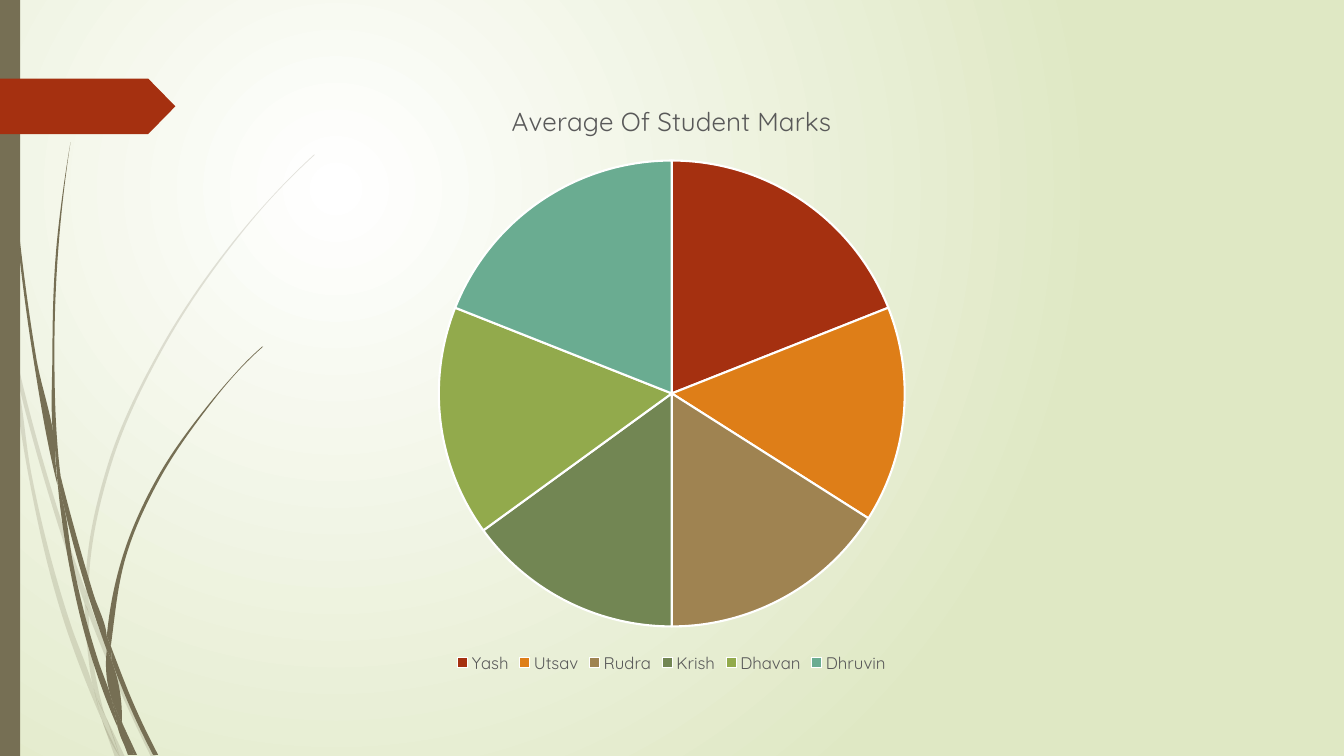
from lxml.etree import SubElement
from pptx import Presentation
from pptx.chart.data import CategoryChartData
from pptx.dml.color import RGBColor
from pptx.enum.chart import XL_CHART_TYPE, XL_LEGEND_POSITION
from pptx.enum.shapes import MSO_SHAPE
from pptx.oxml.ns import qn
from pptx.util import Cm, Pt

WHITE = RGBColor(0xFF, 0xFF, 0xFF)
PALE_GREEN = RGBColor(0xDF, 0xE8, 0xC4)
OLIVE = RGBColor(0x76, 0x6F, 0x54)
RED = RGBColor(0xA5, 0x30, 0x10)
ORANGE = RGBColor(0xDE, 0x7E, 0x18)
TAN = RGBColor(0x9F, 0x83, 0x51)
MOSS = RGBColor(0x72, 0x86, 0x53)
LIME = RGBColor(0x92, 0xAA, 0x4C)
TEAL = RGBColor(0x6A, 0xAC, 0x91)
GREY = RGBColor(0x59, 0x59, 0x59)

FONT = "Quicksand"
GRASS_UNIT = Cm(2.54) / 100

STUDENT_MARKS = [
    ("Yash", 19, RED),
    ("Utsav", 15, ORANGE),
    ("Rudra", 16, TAN),
    ("Krish", 15, MOSS),
    ("Dhavan", 16, LIME),
    ("Dhruvin", 19, TEAL),
]

PALE_GRASS = [
    ([(11, 350), (9, 322), (0, 282)], [(0, 299), (10, 344)]),
    ([(14, 345), (62, 520), (85, 586)], [(84, 599), (58, 522), (17, 376)]),
    ([(88, 596), (92, 607), (127, 692), (155, 751)],
     [(150, 751), (123, 694), (88, 610)]),
    ([(105, 711), (124, 751)], [(119, 751), (105, 711)]),
    ([(11, 350), (28, 470), (65, 621), (92, 693), (101, 714)],
     [(99, 707), (93, 683), (70, 619), (31, 469), (17, 376), (11, 350)]),
    ([(84, 599), (87, 646), (93, 683), (96, 692), (105, 711)],
     [(103, 706), (91, 646), (88, 610), (88, 608), (84, 599)]),
    ([(88, 596), (88, 584), (110, 462), (160, 349), (229, 245), (268, 198),
      (290, 175), (312, 154)],
     [(312, 153), (289, 175), (268, 197), (228, 244), (158, 348), (107, 461),
      (85, 584), (85, 586)]),
    ([(101, 714), (114, 751)], [(119, 751), (101, 714)]),
    ([(88, 608), (88, 610), (88, 596)], [(85, 586), (84, 599)]),
    ([(93, 683), (99, 707), (101, 714), (119, 751)],
     [(119, 751), (105, 711), (96, 692)]),
]

DARK_GRASS = [
    ([(3, 0), (4, 48), (7, 110), (17, 233), (33, 355), (56, 477), (57, 481)],
     [(55, 457), (55, 453), (36, 355), (19, 232), (8, 109), (5, 48), (4, 0)]),
    ([(60, 472), (93, 590), (106, 631), (106, 645)],
     [(106, 645), (88, 592), (64, 505)]),
    ([(110, 641), (113, 649), (136, 706), (157, 749)],
     [(152, 749), (132, 708), (111, 656)]),
    ([(57, 477), (68, 557), (93, 659), (111, 708), (117, 722)],
     [(116, 717), (110, 691), (98, 657), (72, 556), (64, 505), (57, 477)]),
    ([(60, 472), (58, 453), (54, 349), (58, 245), (63, 193), (70, 141)],
     [(70, 141), (62, 193), (56, 245), (52, 349), (55, 449), (60, 472)]),
    ([(122, 719), (136, 749)], [(133, 749), (122, 719)]),
    ([(55, 449), (60, 472), (64, 505)], [(57, 477), (55, 453)]),
    ([(110, 641), (111, 633), (125, 552), (158, 476), (205, 406), (231, 374),
      (245, 359), (261, 344)],
     [(260, 344), (245, 358), (231, 373), (204, 405), (156, 474), (122, 551),
      (106, 631)]),
    ([(117, 722), (127, 749)], [(131, 749), (117, 722)]),
    ([(106, 645), (110, 691), (116, 706), (122, 719)],
     [(121, 716), (111, 656), (109, 651), (106, 645)]),
    ([(106, 645), (109, 651), (111, 656)], [(110, 641), (106, 631)]),
    ([(110, 691), (116, 717), (117, 722), (130, 749)],
     [(133, 749), (122, 719), (116, 706)]),
]


def edge_controls(edge):
    points = [complex(x, y) for x, y in edge]
    steps = [end - start for start, end in zip(points, points[1:])]
    slopes = [step / abs(step) for step in steps]
    tangents = [
        (slopes[i] * abs(steps[i + 1]) + slopes[i + 1] * abs(steps[i]))
        / (abs(steps[i]) + abs(steps[i + 1]))
        for i in range(len(steps) - 1)
    ]
    if tangents:
        tangents = [2 * slopes[0] - tangents[0], *tangents, 2 * slopes[-1] - tangents[-1]]
    else:
        tangents = slopes * 2
    return [
        (points[i] + tangents[i] * abs(step) / 3,
         points[i + 1] - tangents[i + 1] * abs(step) / 3)
        for i, step in enumerate(steps)
    ]


def bend_edges(blade, edges):
    left, top = (min(values) for values in zip(*edges[0], *edges[1]))
    origin = complex(left, top)
    controls = [*edge_controls(edges[0]), None, *edge_controls(edges[1])]
    lines = blade._element.findall(".//" + qn("a:lnTo"))
    for line, pair in zip(lines, controls):
        if pair is None:
            continue
        line.tag = qn("a:cubicBezTo")
        for index, control in enumerate(pair):
            point = SubElement(line, qn("a:pt"))
            position = (control - origin) * GRASS_UNIT
            point.set("x", str(round(position.real)))
            point.set("y", str(round(position.imag)))
            line.insert(index, point)


def fill_plain(shape, color):
    shape.shadow.inherit = False
    shape.fill.solid()
    shape.fill.fore_color.rgb = color
    shape.line.fill.background()


def set_opacity(shape, percent):
    color = shape._element.spPr.find(".//" + qn("a:srgbClr"))
    SubElement(color, qn("a:alpha")).set("val", str(percent * 1000))


def set_font(font, size, color):
    font.name = FONT
    font.size = Pt(size)
    font.bold = False
    font.color.rgb = color


def paint_background(slide):
    fill = slide.background.fill
    fill.gradient()
    for stop, color in zip(fill.gradient_stops, (WHITE, PALE_GREEN)):
        stop.color.rgb = color
    gradient = slide.element.find(".//" + qn("a:gradFill"))
    gradient.remove(gradient.find(qn("a:lin")))
    circle = SubElement(gradient, qn("a:path"))
    circle.set("path", "circle")
    center = SubElement(circle, qn("a:fillToRect"))
    for side, value in zip("ltrb", (50000, 50000, 100000, 100000)):
        center.set(side, str(value))


def add_grass(slide, blades, opacity):
    group = slide.shapes.add_group_shape()
    for edges in blades:
        outline = [(x * GRASS_UNIT, y * GRASS_UNIT) for edge in edges for x, y in edge]
        builder = group.shapes.build_freeform(*outline[0])
        builder.add_line_segments(outline[1:], close=True)
        blade = builder.convert_to_shape()
        bend_edges(blade, edges)
        fill_plain(blade, OLIVE)
        if opacity < 100:
            set_opacity(blade, opacity)


def add_block(slide, kind, top, width, height, color):
    shape = slide.shapes.add_shape(kind, Cm(0), Cm(top), Cm(width), Cm(height))
    fill_plain(shape, color)
    return shape


def place_plot(chart, **fractions):
    plot_area = chart.element.find(".//" + qn("c:plotArea"))
    layout = plot_area.find(qn("c:layout"))
    if layout is None:
        layout = SubElement(plot_area, qn("c:layout"))
        plot_area.insert(0, layout)
    manual = SubElement(layout, qn("c:manualLayout"))
    SubElement(manual, qn("c:layoutTarget")).set("val", "inner")
    for mode in ("xMode", "yMode"):
        SubElement(manual, qn("c:" + mode)).set("val", "edge")
    for name, value in fractions.items():
        SubElement(manual, qn("c:" + name)).set("val", str(value))


def add_marks_chart(slide):
    names, marks, colors = zip(*STUDENT_MARKS)
    data = CategoryChartData()
    data.categories = names
    data.add_series("Series 1", marks)
    chart = slide.shapes.add_chart(
        XL_CHART_TYPE.PIE, Cm(5.64), Cm(2.01), Cm(22.58), Cm(15.06), data
    ).chart
    set_font(chart.font, 10, RGBColor(0, 0, 0))
    chart.has_title = True
    title = chart.chart_title.text_frame
    title.text = "Average Of Student Marks"
    set_font(title.paragraphs[0].runs[0].font, 18.6, GREY)
    chart.has_legend = True
    chart.legend.position = XL_LEGEND_POSITION.BOTTOM
    chart.legend.include_in_layout = False
    set_font(chart.legend.font, 12, GREY)
    plot = chart.plots[0]
    plot.vary_by_categories = True
    for index, color in enumerate(colors):
        slice_format = plot.series[0].points[index].format
        slice_format.fill.solid()
        slice_format.fill.fore_color.rgb = color
        slice_format.line.color.rgb = WHITE
        slice_format.line.width = Pt(1.5)
    place_plot(chart, x=0.24, y=0.13, w=0.52, h=0.79)


def main():
    presentation = Presentation()
    presentation.slide_width = Cm(33.87)
    presentation.slide_height = Cm(19.05)
    slide = presentation.slides.add_slide(presentation.slide_layouts[6])
    paint_background(slide)
    add_grass(slide, PALE_GRASS, 20)
    add_grass(slide, DARK_GRASS, 100)
    add_block(slide, MSO_SHAPE.RECTANGLE, 0, 0.51, 19.05, OLIVE)
    tag = add_block(slide, MSO_SHAPE.PENTAGON, 1.98, 4.42, 1.4, RED)
    tag.adjustments[0] = 0.49
    add_marks_chart(slide)
    presentation.save("out.pptx")


if __name__ == "__main__":
    main()
